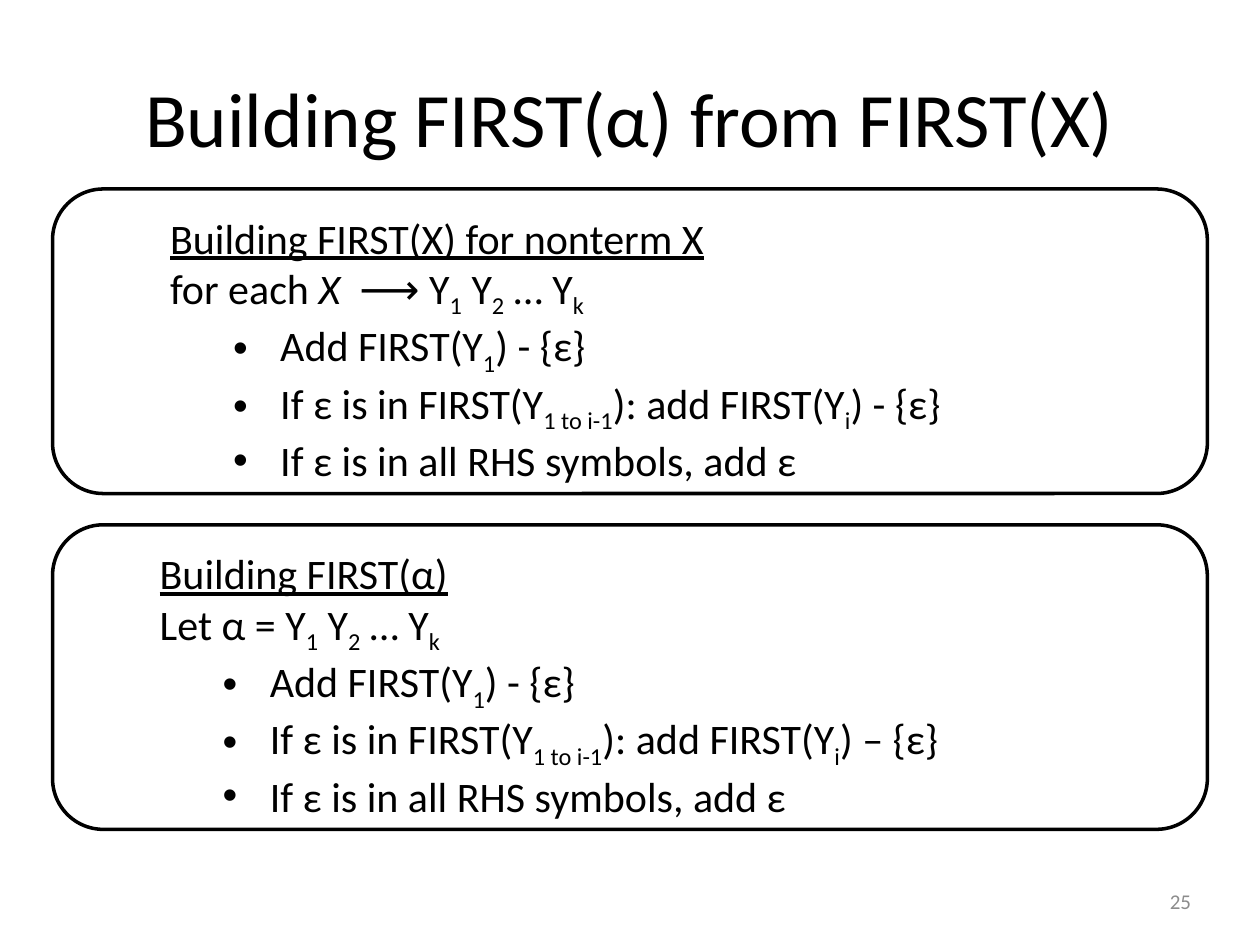
from lxml.etree import SubElement
from pptx import Presentation
from pptx.dml.color import RGBColor
from pptx.enum.shapes import MSO_SHAPE as Shape
from pptx.enum.text import MSO_ANCHOR as Anchor, PP_ALIGN as Align
from pptx.oxml.ns import qn
from pptx.util import Cm, Pt

COLORS = {name: RGBColor.from_string(value) for name, value in {
    "text": "000000", "panel": "FFFFFF", "number": "8C8C8C"}.items()}
FONT = "Calibri"


def add_run(paragraph, text, style="", size=24, color="text"):
    run = paragraph.add_run()
    run.text = text
    font = run.font
    font.name, font.size = FONT, Pt(size)
    font.color.rgb = COLORS[color]
    if style == "underline":
        font.underline = True
    elif style == "italic":
        font.italic = True
    elif style == "sub":
        run._r.get_or_add_rPr().set("baseline", "-25000")


def add_bullet(paragraph):
    paragraph.level = 1
    properties = paragraph._p.get_or_add_pPr()
    properties.set("marL", str(Cm(2.22)))
    properties.set("indent", str(-Cm(0.95)))
    SubElement(properties, qn("a:buFont")).set("typeface", "Arial")
    SubElement(properties, qn("a:buChar")).set("char", "•")


presentation = Presentation()
presentation.slide_width, presentation.slide_height = Cm(25.4), Cm(19.05)
slide = presentation.slides.add_slide(presentation.slide_layouts[5])

# Title
title = slide.shapes.title
title.left, title.top, title.width, title.height = Cm(1.27), Cm(0.76), Cm(22.86), Cm(3.18)
title.text_frame.vertical_anchor = Anchor.MIDDLE
paragraph = title.text_frame.paragraphs[0]
paragraph.alignment = Align.CENTER
add_run(paragraph, "Building FIRST(α) from FIRST(X)", size=44)

# Two panels: heading, opening line, then the same rules with their own minus sign
sequence = [("1", "sub"), (" Y",), ("2", "sub"), (" … Y",), ("k", "sub")]
panels = [
    ("Building FIRST(X) for nonterm X",
     [("for each ",), ("X ", "italic"), (" ⟶ Y",)], "-", 3.18),
    ("Building FIRST(α)", [("Let α = Y",)], "–", 2.97),
]
for index, (heading, opening, minus, text_left) in enumerate(panels):
    top = 3.81 + index * 6.77
    panel = slide.shapes.add_shape(
        Shape.ROUNDED_RECTANGLE, Cm(1.06), Cm(top), Cm(23.28), Cm(6.14))
    panel.shadow.inherit = False
    panel.fill.solid()
    panel.fill.fore_color.rgb = COLORS["panel"]
    panel.line.color.rgb = COLORS["text"]
    panel.line.width = Pt(2)

    box = slide.shapes.add_textbox(Cm(text_left), Cm(top + 0.34), Cm(19.63), Cm(5.38))
    frame = box.text_frame
    frame.word_wrap = True
    lines = [
        [(heading, "underline")],
        opening + sequence,
        [("Add FIRST(Y",), ("1", "sub"), (") - {ε}",)],
        [("If ε is in FIRST(Y",), ("1 to i-1", "sub"), ("): add FIRST(Y",),
         ("i", "sub"), (f") {minus} {{ε}}",)],
        [("If ε is in all RHS symbols, add ε",)],
    ]
    for number, line in enumerate(lines):
        paragraph = frame.add_paragraph() if number else frame.paragraphs[0]
        if number >= 2:
            add_bullet(paragraph)
        for run in line:
            add_run(paragraph, *run)

# Slide number
box = slide.shapes.add_textbox(Cm(18.34), Cm(17.65), Cm(5.92), Cm(1.02))
box.text_frame.word_wrap = True
box.text_frame.vertical_anchor = Anchor.MIDDLE
paragraph = box.text_frame.paragraphs[0]
paragraph.alignment = Align.RIGHT
add_run(paragraph, "25", size=12, color="number")

presentation.save("out.pptx")
